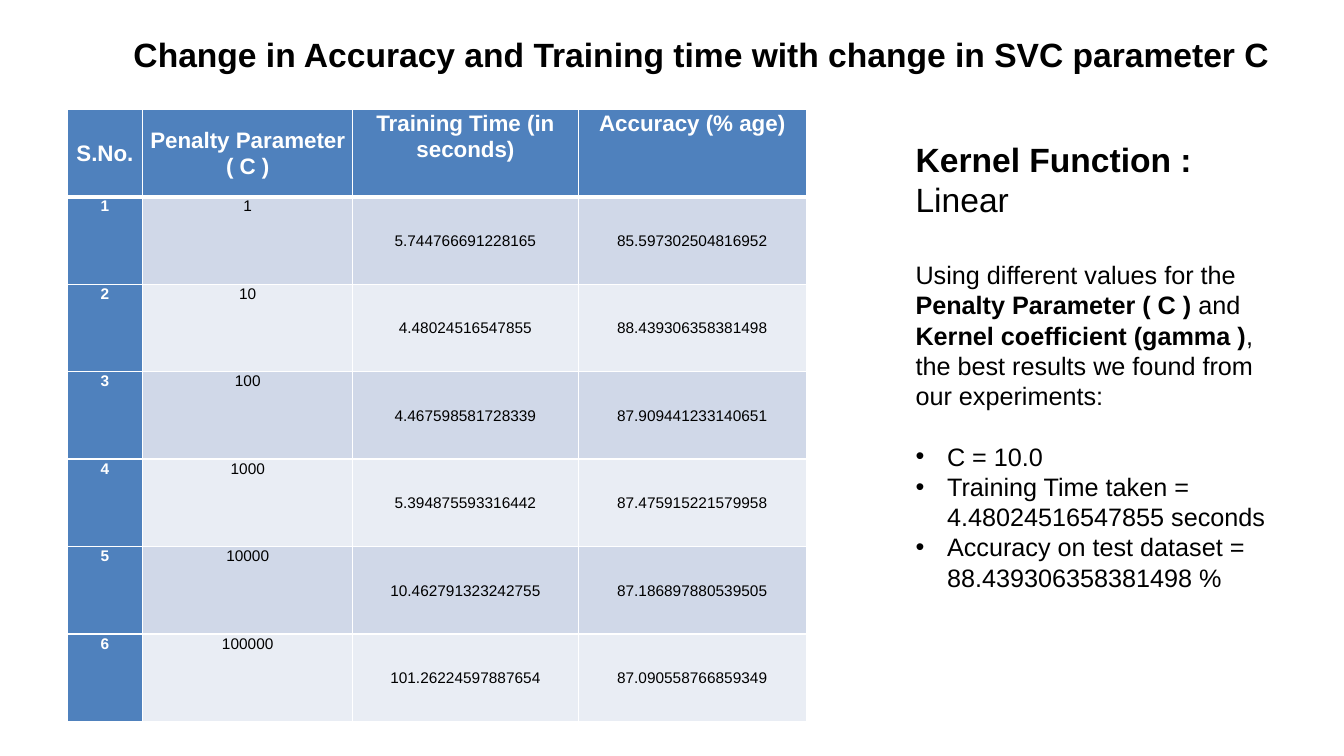
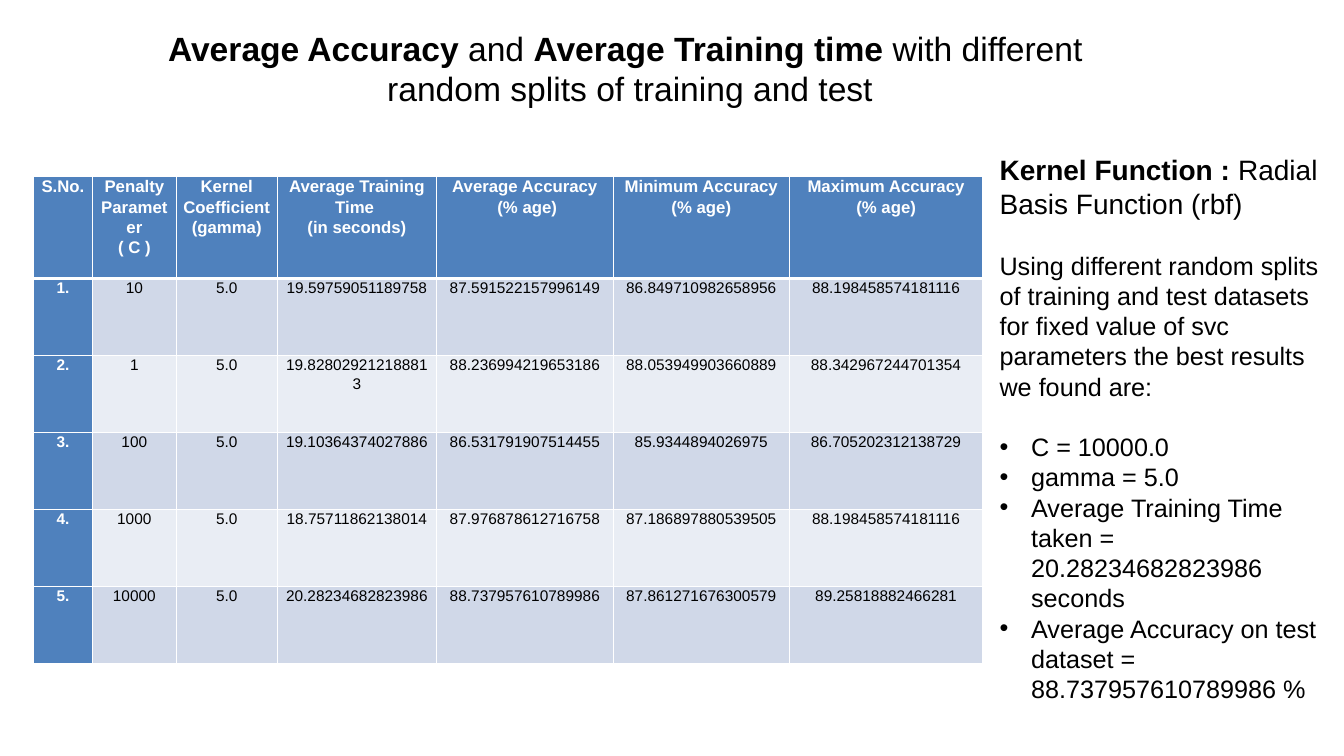
from lxml import etree
from pptx import Presentation
from pptx.dml.color import RGBColor
from pptx.enum import text as t
from pptx.oxml import ns
from pptx.util import Pt

FONT = "Arial"
BLACK = RGBColor(0, 0, 0)
WHITE = RGBColor(255, 255, 255)
HEADER_BLUE = RGBColor(0x4F, 0x81, 0xBD)
BANDS = [RGBColor(0xD0, 0xD8, 0xE8), RGBColor(0xE9, 0xED, 0xF4)]
TITLE_SIZE, BODY_SIZE, VALUE_SIZE = 24, 18, 11
BLANK_LINE = 1.2
BULLET_INDENT = Pt(22.5)

MIDDLE = t.MSO_ANCHOR.MIDDLE
TOP = t.MSO_ANCHOR.TOP

results = [
    {
        "title_box": (78, 24.5, 846, 30),
        "title": [[("Change in Accuracy and Training time with change in SVC parameter C", True)]],
        "table_at": (48, 78),
        "columns": [54, 150, 161, 163],
        "header_height": 62.5,
        "row_height": 62.5,
        "header_size": 16,
        "header_anchors": [MIDDLE, MIDDLE, TOP, TOP],
        "value_anchors": [TOP, TOP, MIDDLE, MIDDLE],
        "header": [["S.No."], ["Penalty Parameter ( C )"], ["Training Time (in seconds)"], ["Accuracy (% age)"]],
        "rows": [
            ["1", "1", "5.744766691228165", "85.597302504816952"],
            ["2", "10", "4.48024516547855", "88.439306358381498"],
            ["3", "100", "4.467598581728339", "87.909441233140651"],
            ["4", "1000", "5.394875593316442", "87.475915221579958"],
            ["5", "10000", "10.462791323242755", "87.186897880539505"],
            ["6", "100000", "101.26224597887654", "87.090558766859349"],
        ],
        "summary_box": (654, 99, 252, 340),
        "kernel_size": 24,
        "kernel": "Linear",
        "gap_after_kernel": 24 * BLANK_LINE,
        "finding": [
            ("Using different values for the ", False),
            ("Penalty Parameter ( C )", True),
            (" and ", False),
            ("Kernel coefficient (gamma )", True),
            (", the best results we found from our experiments:", False),
        ],
        "best": [
            "C = 10.0",
            "Training Time taken = 4.48024516547855 seconds",
            "Accuracy on test dataset = 88.439306358381498 %",
        ],
    },
    {
        "title_box": (18, 20, 864, 60),
        "title": [
            [("Average Accuracy", True), (" and ", False), ("Average Training time", True), (" with different ", False)],
            [("random splits of training and test", False)],
        ],
        "table_at": (24, 126),
        "columns": [42, 60, 72, 114, 126, 126, 138],
        "header_height": 73,
        "row_height": 55,
        "header_size": 12,
        "header_anchors": [TOP] * 7,
        "value_anchors": [TOP] * 7,
        "header": [
            ["S.No."],
            ["Penalty Parameter", "( C )"],
            ["Kernel Coefficient (gamma)"],
            ["Average Training Time ", "(in seconds)"],
            ["Average Accuracy", " (% age)"],
            ["Minimum Accuracy", "(% age)"],
            ["Maximum Accuracy", "(% age)"],
        ],
        "rows": [
            ["1.", "10", "5.0", "19.59759051189758", "87.591522157996149", "86.849710982658956", "88.198458574181116"],
            ["2.", "1", "5.0", "19.828029212188813", "88.236994219653186", "88.053949903660889", "88.342967244701354"],
            ["3.", "100", "5.0", "19.10364374027886", "86.531791907514455", "85.9344894026975", "86.705202312138729"],
            ["4.", "1000", "5.0", "18.75711862138014", "87.976878612716758", "87.186897880539505", "88.198458574181116"],
            ["5.", "10000", "5.0", "20.28234682823986", "88.737957610789986", "87.861271676300579", "89.25818882466281"],
        ],
        "summary_box": (714, 109, 228, 400),
        "kernel_size": 20,
        "kernel": "Radial Basis Function (rbf)",
        "gap_after_kernel": BODY_SIZE * BLANK_LINE,
        "finding": [
            (
                "Using different random splits of training and test datasets for fixed value "
                "of svc parameters the best results we found are:",
                False,
            )
        ],
        "best": [
            "C = 10000.0",
            "gamma = 5.0",
            "Average Training Time taken = 20.28234682823986 seconds",
            "Average Accuracy on test dataset = 88.737957610789986 %",
        ],
    },
]


def add_runs(paragraph, runs, size, color=BLACK):
    for words, bold in runs:
        run = paragraph.add_run()
        run.text = words
        run.font.name = FONT
        run.font.size = Pt(size)
        run.font.bold = bold
        run.font.color.rgb = color


def add_frame(slide, box):
    frame = slide.shapes.add_textbox(*map(Pt, box)).text_frame
    frame.word_wrap = True
    frame.margin_left = frame.margin_top = frame.margin_right = frame.margin_bottom = 0
    return frame


deck = Presentation()
deck.slide_width, deck.slide_height = Pt(960), Pt(540)

for result in results:
    slide = deck.slides.add_slide(deck.slide_layouts[6])

    title = add_frame(slide, result["title_box"]).paragraphs[0]
    title.alignment = t.PP_ALIGN.CENTER
    for number, line in enumerate(result["title"]):
        if number:
            title.add_line_break()
        add_runs(title, line, TITLE_SIZE)

    columns = result["columns"]
    heights = [result["header_height"]] + [result["row_height"]] * len(result["rows"])
    extent = (*result["table_at"], sum(columns), sum(heights))
    scores = slide.shapes.add_table(len(heights), len(columns), *map(Pt, extent)).table
    for column, width in zip(scores.columns, columns):
        column.width = Pt(width)
    for row, height in zip(scores.rows, heights):
        row.height = Pt(height)

    lines_by_row = [result["header"]] + [[[value] for value in row] for row in result["rows"]]
    for r, row in enumerate(lines_by_row):
        for c, lines in enumerate(row):
            cell = scores.cell(r, c)
            is_head = r == 0 or c == 0
            cell.margin_left = cell.margin_right = Pt(5)
            cell.margin_top = cell.margin_bottom = 0
            cell.vertical_anchor = result["value_anchors" if r else "header_anchors"][c]
            properties = cell._tc.get_or_add_tcPr()
            for side in ("L", "R", "T", "B"):
                thick = (r == 0 and side == "B") or (r == 1 and side == "T")
                border = etree.SubElement(properties, ns.qn("a:ln" + side), w=str(Pt(3 if thick else 1)))
                paint = etree.SubElement(border, ns.qn("a:solidFill"))
                etree.SubElement(paint, ns.qn("a:srgbClr"), val=str(WHITE))
            cell.fill.solid()
            cell.fill.fore_color.rgb = HEADER_BLUE if is_head else BANDS[(r - 1) % 2]
            for number, line in enumerate(lines):
                frame = cell.text_frame
                paragraph = frame.add_paragraph() if number else frame.paragraphs[0]
                paragraph.alignment = t.PP_ALIGN.CENTER
                paragraph.line_spacing = 1.07
                size = VALUE_SIZE if r else result["header_size"]
                add_runs(paragraph, [(line, is_head)], size, WHITE if is_head else BLACK)

    summary = add_frame(slide, result["summary_box"])
    kernel = summary.paragraphs[0]
    kernel.space_after = Pt(result["gap_after_kernel"])
    add_runs(kernel, [("Kernel Function : ", True), (result["kernel"], False)], result["kernel_size"])
    finding = summary.add_paragraph()
    finding.space_after = Pt(BODY_SIZE * BLANK_LINE)
    add_runs(finding, result["finding"], BODY_SIZE)
    for words in result["best"]:
        best = summary.add_paragraph()
        indent = best._p.get_or_add_pPr()
        indent.set("marL", str(BULLET_INDENT))
        indent.set("indent", str(-BULLET_INDENT))
        etree.SubElement(indent, ns.qn("a:buFont"), typeface=FONT)
        etree.SubElement(indent, ns.qn("a:buChar"), char="•")
        add_runs(best, [(words, False)], BODY_SIZE)

deck.save("out.pptx")
